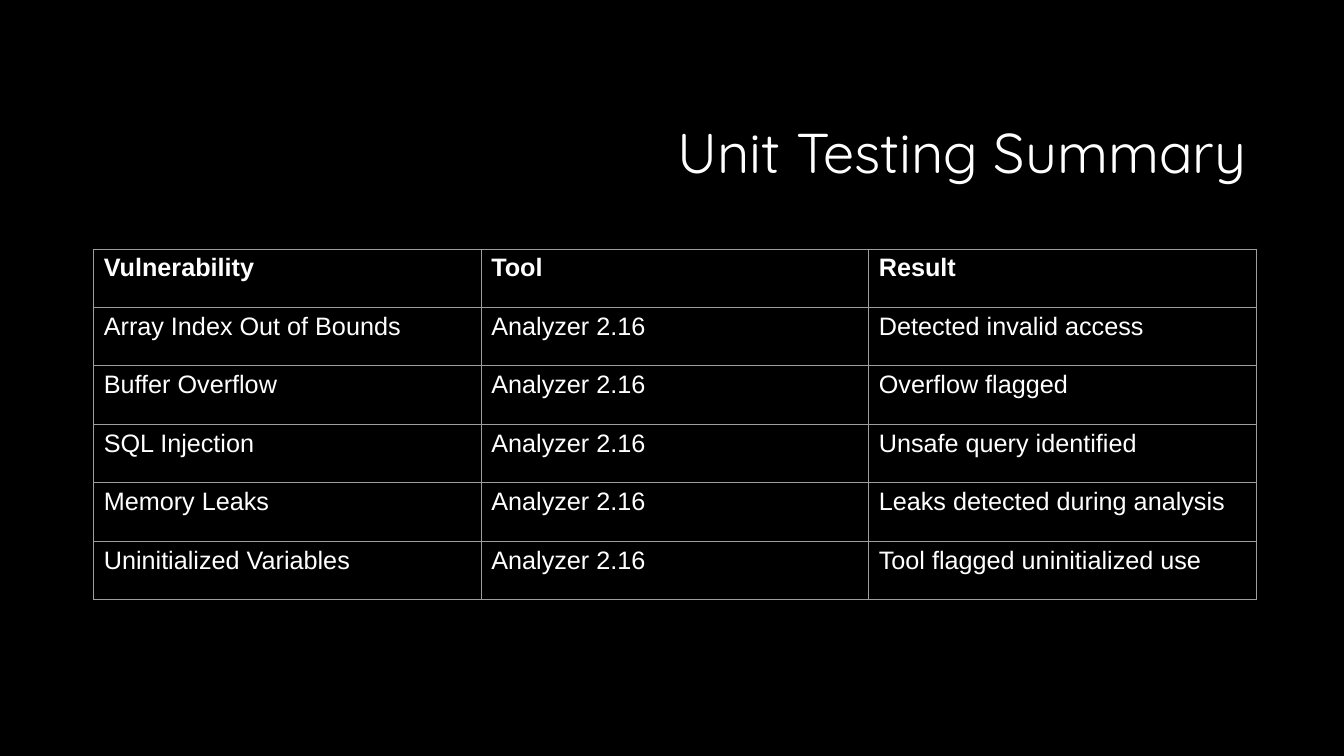
from lxml.etree import SubElement
from pptx import Presentation
from pptx.dml.color import RGBColor
from pptx.enum.text import MSO_ANCHOR, MSO_AUTO_SIZE, PP_ALIGN
from pptx.oxml.ns import qn
from pptx.util import Inches, Pt

COLORS = {"background": "000000", "text": "FFFFFF", "border": "9E9E9E"}
HEADERS = ("Vulnerability", "Tool", "Result")
TOOL = "Analyzer 2.16"
FINDINGS = (
    ("Array Index Out of Bounds", "Detected invalid access"),
    ("Buffer Overflow", "Overflow flagged"),
    ("SQL Injection", "Unsafe query identified"),
    ("Memory Leaks", "Leaks detected during analysis"),
    ("Uninitialized Variables", "Tool flagged uninitialized use"),
)


def color(name):
    """Return the named colour of the palette."""
    return RGBColor.from_string(COLORS[name])


def format_font(font, name, size, bold=False):
    """Apply typeface, size, weight and the text colour."""
    font.name = name
    font.size = Pt(size)
    font.bold = bold
    font.color.rgb = color("text")


def add_borders(cell):
    """Draw a thin line on all four sides of a cell."""
    properties = cell._tc.get_or_add_tcPr()
    for position, side in enumerate(("a:lnL", "a:lnR", "a:lnT", "a:lnB")):
        line = properties.makeelement(qn(side), {"w": str(Pt(0.75))})
        fill = SubElement(line, qn("a:solidFill"))
        SubElement(fill, qn("a:srgbClr"), val=COLORS["border"])
        properties.insert(position, line)


def place_title(slide, box, text):
    """Move the title placeholder into the box and format it."""
    title = slide.shapes.title
    title.left, title.top, title.width, title.height = map(Inches, box)
    frame = title.text_frame
    frame.text = text
    frame.word_wrap = True
    frame.auto_size = MSO_AUTO_SIZE.NONE
    frame.vertical_anchor = MSO_ANCHOR.MIDDLE
    para = frame.paragraphs[0]
    para.alignment = PP_ALIGN.RIGHT
    para.line_spacing = 0.9
    format_font(para.runs[0].font, "Quicksand", 40)


def add_summary_table(slide, box, rows):
    """Fill the box with an evenly divided table whose first row is bold."""
    frame = slide.shapes.add_table(len(rows), len(rows[0]), *map(Inches, box))
    table = frame.table
    table.horz_banding = False
    for row_index, row in enumerate(rows):
        for column_index, text in enumerate(row):
            cell = table.cell(row_index, column_index)
            cell.text = text
            cell.fill.background()
            add_borders(cell)
            span = cell.text_frame.paragraphs[0].runs[0]
            format_font(span.font, "Arial", 18, bold=row_index == 0)


def main():
    """Build the testing summary slide and save the deck."""
    deck = Presentation()
    deck.slide_width, deck.slide_height = Inches(13.33), Inches(7.5)
    slide = deck.slides.add_slide(deck.slide_layouts[5])
    background = slide.background.fill
    background.solid()
    background.fore_color.rgb = color("background")
    place_title(slide, (3.17, 0.84, 9.29, 1.41), "Unit Testing Summary")
    rows = [HEADERS] + [(flaw, TOOL, result) for flaw, result in FINDINGS]
    add_summary_table(slide, (0.93, 2.47, 11.53, 3.48), rows)
    deck.save("out.pptx")


if __name__ == "__main__":
    main()
